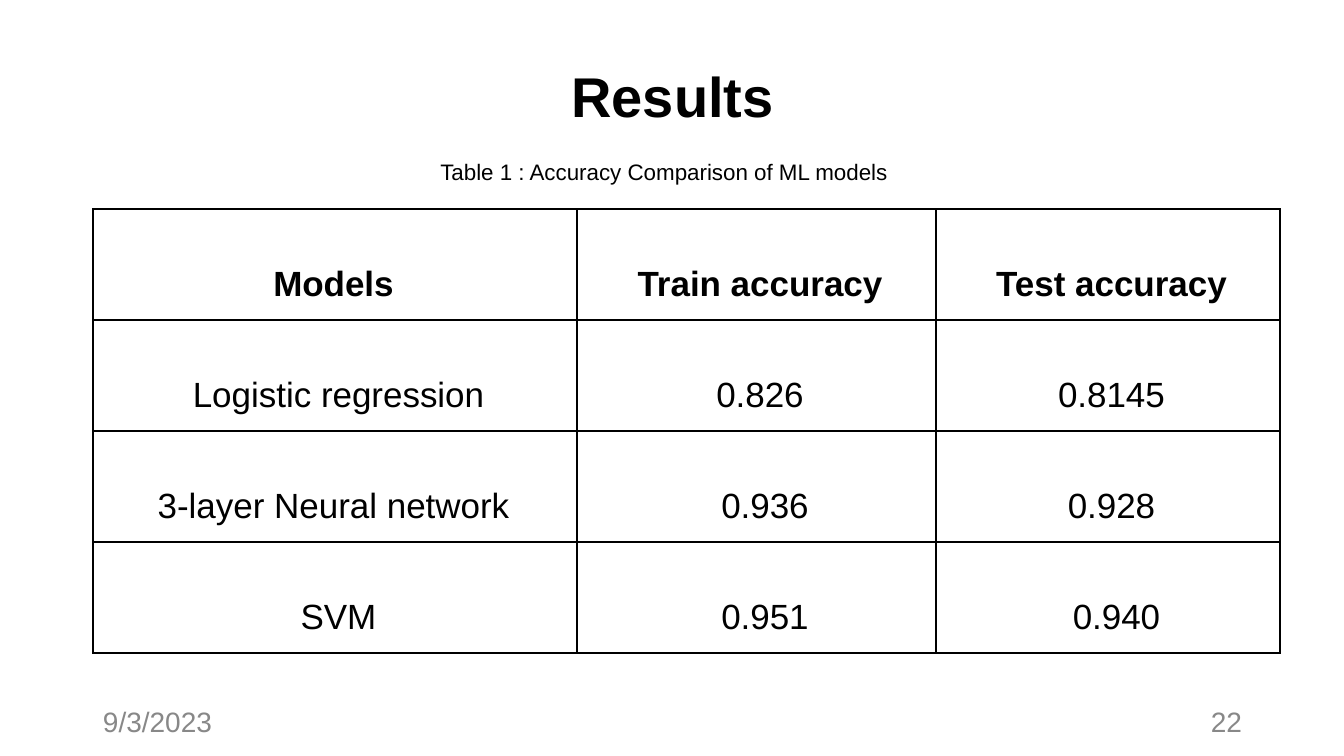
from dataclasses import dataclass

from lxml.etree import SubElement
from pptx import Presentation
from pptx.dml.color import RGBColor as Rgb
from pptx.enum.text import MSO_ANCHOR as Anchor, PP_ALIGN as Align
from pptx.oxml.ns import qn
from pptx.util import Emu, Pt


@dataclass(frozen=True)
class Theme:
    """Colours, font and type sizes of the slide."""
    font: str = "Arial"
    ink: str = "000000"
    muted: str = "888888"
    paper: str = "FFFFFF"
    title: int = 40
    caption: int = 16
    body: int = 25
    footer: int = 20
    border: int = 1


THEME = Theme()
PX_PER_INCH = 100.8
SLIDE_SIZE = (1344, 756)
LEFT = 93
FOOTER_TOP, FOOTER_WIDTH, FOOTER_HEIGHT = 701, 302, 40
TABLE_TOP, ROW_HEIGHT = 209, 111
COLUMN_WIDTHS = (484, 359, 344)
CELL_LEFT, CELL_INSET = 33, 16
RESULTS = (
    ("Models", "Train accuracy", "Test accuracy"),
    ("Logistic regression", "0.826", "0.8145"),
    ("3-layer Neural network", "0.936", "0.928"),
    ("SVM", "0.951", "0.940"),
)
EXTRA_RIGHT = ((20, 10, 10), (10, 10, 10), (20, 0, 10), (10, 0, 0))


def px(length):
    """Turn a length in px into EMU."""
    return Emu(round(length * 914400 / PX_PER_INCH))


def style_text(frame, size, colour=THEME.ink, align=Align.CENTER, bold=False):
    """Format the only paragraph of a text frame."""
    line = frame.paragraphs[0]
    line.alignment = align
    font = line.runs[0].font
    font.name, font.size, font.bold = THEME.font, Pt(size), bold
    font.color.rgb = Rgb.from_string(colour)
    return line


def add_label(slide, text, box, size, anchor, inset=5, **style):
    """Add a text box and return its paragraph."""
    frame = slide.shapes.add_textbox(*map(px, box)).text_frame
    frame.word_wrap = True
    frame.vertical_anchor = anchor
    frame.margin_left = frame.margin_right = px(10)
    frame.margin_top = frame.margin_bottom = px(inset)
    frame.text = text
    return style_text(frame, size, **style)


def add_borders(cell):
    """Fill a cell and rule all four of its sides."""
    properties = cell._tc.get_or_add_tcPr()
    for side in ("lnL", "lnR", "lnT", "lnB"):
        rule = SubElement(properties, qn(f"a:{side}"), w=str(Pt(THEME.border)))
        paint = SubElement(rule, qn("a:solidFill"))
        SubElement(paint, qn("a:srgbClr"), val=THEME.ink)
    cell.fill.solid()
    cell.fill.fore_color.rgb = Rgb.from_string(THEME.paper)


def fill_cell(cell, text, extra_right, bold):
    """Write one result into a cell and style it."""
    cell.text = text
    cell.vertical_anchor = Anchor.BOTTOM
    cell.margin_left = px(CELL_LEFT)
    cell.margin_right = px(CELL_INSET + extra_right)
    cell.margin_top = cell.margin_bottom = px(CELL_INSET)
    style_text(cell.text_frame, THEME.body, bold=bold)
    add_borders(cell)


def add_results_table(slide):
    """Add the accuracy table."""
    size = (sum(COLUMN_WIDTHS), ROW_HEIGHT * len(RESULTS))
    table = slide.shapes.add_table(
        len(RESULTS), len(COLUMN_WIDTHS), *map(px, (LEFT, TABLE_TOP, *size))
    ).table
    table.first_row = table.horz_banding = False
    for column, width in zip(table.columns, COLUMN_WIDTHS):
        column.width = px(width)
    for row_index, (row, texts, extras) in enumerate(zip(table.rows, RESULTS, EXTRA_RIGHT)):
        row.height = px(ROW_HEIGHT)
        for cell, text, extra in zip(row.cells, texts, extras):
            fill_cell(cell, text, extra, bold=row_index == 0)


def add_footer(slide, text, left, align):
    """Add one muted footer entry."""
    box = (left, FOOTER_TOP, FOOTER_WIDTH, FOOTER_HEIGHT)
    add_label(slide, text, box, THEME.footer, Anchor.MIDDLE, colour=THEME.muted, align=align)


def main():
    """Build the results slide and save it."""
    deck = Presentation()
    deck.slide_width, deck.slide_height = map(px, SLIDE_SIZE)
    slide = deck.slides.add_slide(deck.slide_layouts[6])
    heading = add_label(slide, "Results", (LEFT, 32, 1159, 103), THEME.title, Anchor.BOTTOM, bold=True)
    heading.line_spacing = 0.9
    add_results_table(slide)
    add_footer(slide, "22", 950, Align.RIGHT)
    add_label(slide, "Table 1 : Accuracy Comparison of ML models", (394, 148, 540, 47),
              THEME.caption, Anchor.TOP, inset=10)
    add_footer(slide, "9/3/2023", LEFT, Align.LEFT)
    deck.save("out.pptx")


if __name__ == "__main__":
    main()
